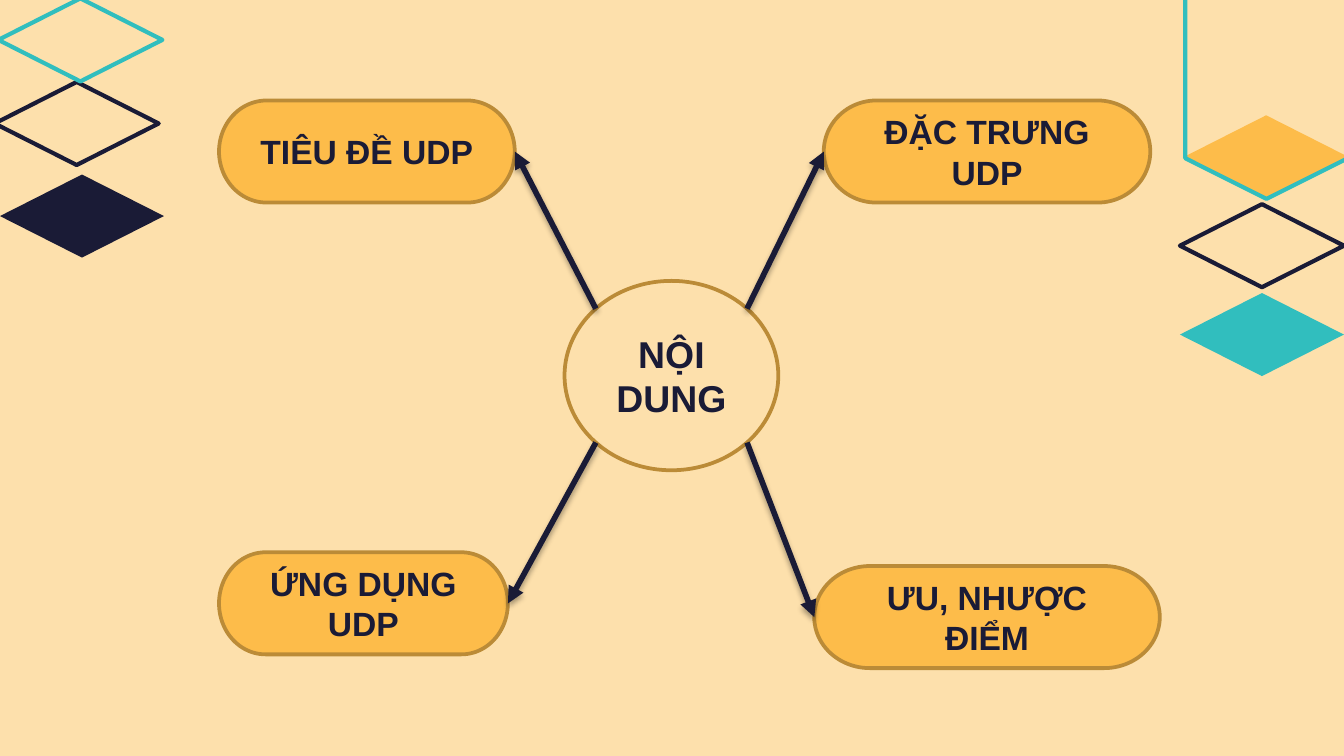
from dataclasses import dataclass
from math import cos, radians, sin

from lxml.etree import SubElement
from pptx import Presentation
from pptx.dml.color import RGBColor
from pptx.enum.shapes import MSO_CONNECTOR, MSO_SHAPE
from pptx.enum.text import MSO_ANCHOR, PP_ALIGN
from pptx.oxml import parse_xml
from pptx.oxml.ns import nsdecls, qn
from pptx.util import Cm, Pt


@dataclass(frozen=True)
class Theme:
    cream: RGBColor = RGBColor.from_string("FDE0AC")
    amber: RGBColor = RGBColor.from_string("FDBC4A")
    bronze: RGBColor = RGBColor.from_string("BB8B37")
    navy: RGBColor = RGBColor.from_string("1A1B36")
    teal: RGBColor = RGBColor.from_string("31BEBE")
    font: str = "Arial"
    hub_size: float = 20
    topic_size: float = 18
    outline: float = 2.25
    border: float = 2
    arrow: float = 3


THEME = Theme()
DIAMOND_SIZE = (3.1, 1.57)
LEFT, RIGHT = 1, 3  # connection sites of a topic
ARROW_SHADOW = (
    f'<a:effectLst {nsdecls("a")}><a:outerShdw blurRad="{Pt(3.1)}" dist="{Pt(1.8)}" '
    'dir="5400000" rotWithShape="0"><a:srgbClr val="000000"><a:alpha val="35000"/>'
    '</a:srgbClr></a:outerShdw></a:effectLst>'
)


def add_figure(slide, kind, box, fill=None, line=None, width=THEME.outline):
    figure = slide.shapes.add_shape(kind, *map(Cm, box))
    figure.shadow.inherit = False
    if fill is None:
        figure.fill.background()
    else:
        figure.fill.solid()
        figure.fill.fore_color.rgb = fill
    if line is None:
        figure.line.fill.background()
    else:
        figure.line.color.rgb = line
        figure.line.width = Pt(width)
        SubElement(figure.line._get_or_add_ln(), qn("a:round"))
    return figure


def add_label(figure, words, size):
    frame = figure.text_frame
    frame.word_wrap = True
    frame.vertical_anchor = MSO_ANCHOR.MIDDLE
    frame.text = words
    paragraph = frame.paragraphs[0]
    paragraph.alignment = PP_ALIGN.CENTER
    font = paragraph.runs[0].font
    font.name, font.size, font.bold = THEME.font, Pt(size), True
    font.color.rgb = THEME.navy


def add_diamonds(slide, left, top, diamonds):
    for dx, dy, fill, line in diamonds:
        add_figure(slide, MSO_SHAPE.DIAMOND, (left + dx, top + dy, *DIAMOND_SIZE), fill, line)


def add_left_ornament(slide, left, top):
    add_diamonds(slide, left, top, [
        (-0.1, 1.55, None, THEME.navy),
        (-0.03, -0.03, None, THEME.teal),
        (0, 3.3, THEME.navy, None),
    ])


def add_right_ornament(slide, left, top):
    add_diamonds(slide, left, top, [(0.08, 2.18, THEME.amber, None)])
    hexagon = add_figure(slide, MSO_SHAPE.HEXAGON, (left - 1.12, top - 0.53, 5.51, 3.07),
                         line=THEME.teal)
    hexagon.rotation = 90
    add_diamonds(slide, left, top, [
        (0, 5.54, THEME.teal, None),
        (0, 3.86, None, THEME.navy),
    ])


def add_arrow(slide, hub, angle, topic, site):
    # Start on the rim of the hub, end glued to the side of the topic
    x = hub.left + hub.width / 2 * (1 + cos(radians(angle)))
    y = hub.top + hub.height / 2 * (1 + sin(radians(angle)))
    arrow = slide.shapes.add_connector(MSO_CONNECTOR.STRAIGHT, int(x), int(y), int(x), int(y))
    arrow.end_connect(topic, site)
    arrow.line.color.rgb = THEME.navy
    arrow.line.width = Pt(THEME.arrow)
    SubElement(arrow.line._get_or_add_ln(), qn("a:tailEnd"), type="triangle")
    arrow._element.spPr.append(parse_xml(ARROW_SHADOW))


def add_mind_map(slide, left, top):
    # Hub
    hub = add_figure(slide, MSO_SHAPE.FLOWCHART_CONNECTOR, (left + 6.53, top + 3.41, 4.04, 3.58),
                     THEME.cream, THEME.bronze, THEME.border)
    add_label(hub, "NỘI DUNG", THEME.hub_size)

    # Topics: words, offset, width, direction from hub, side met by the arrow
    branches = [
        ("ĐẶC TRƯNG UDP", 11.43, 0, 6.17, -45, LEFT),
        ("TIÊU ĐỀ UDP", 0, 0, 5.59, -135, RIGHT),
        ("ỨNG DỤNG UDP", 0, 8.54, 5.46, 135, RIGHT),
        ("ƯU, NHƯỢC ĐIỂM", 11.25, 8.8, 6.53, 45, LEFT),
    ]
    arrows = []
    for words, dx, dy, width, angle, site in branches:
        topic = add_figure(slide, MSO_SHAPE.FLOWCHART_TERMINATOR,
                           (left + dx, top + dy, width, 1.93),
                           THEME.amber, THEME.bronze, THEME.border)
        add_label(topic, words, THEME.topic_size)
        arrows.append((angle, topic, site))

    # Arrows lie above every topic
    for angle, topic, site in arrows:
        add_arrow(slide, hub, angle, topic, site)


presentation = Presentation()
presentation.slide_width, presentation.slide_height = Cm(25.4), Cm(14.29)
contents = presentation.slides.add_slide(presentation.slide_layouts[6])
contents.background.fill.solid()
contents.background.fill.fore_color.rgb = THEME.cream

add_left_ornament(contents, 0, 0)
add_right_ornament(contents, 22.3, 0)
add_mind_map(contents, 4.14, 1.9)
presentation.save("out.pptx")
